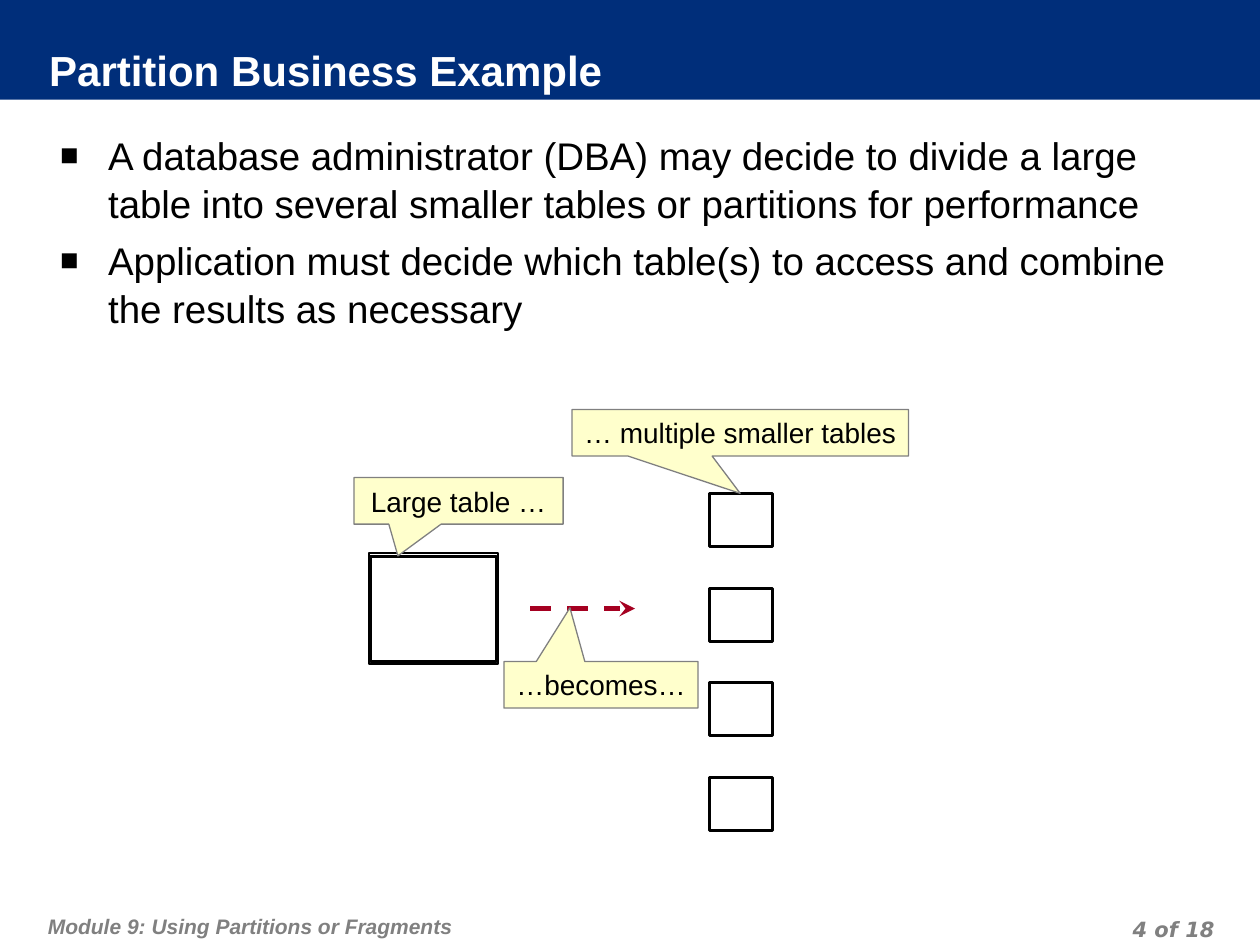
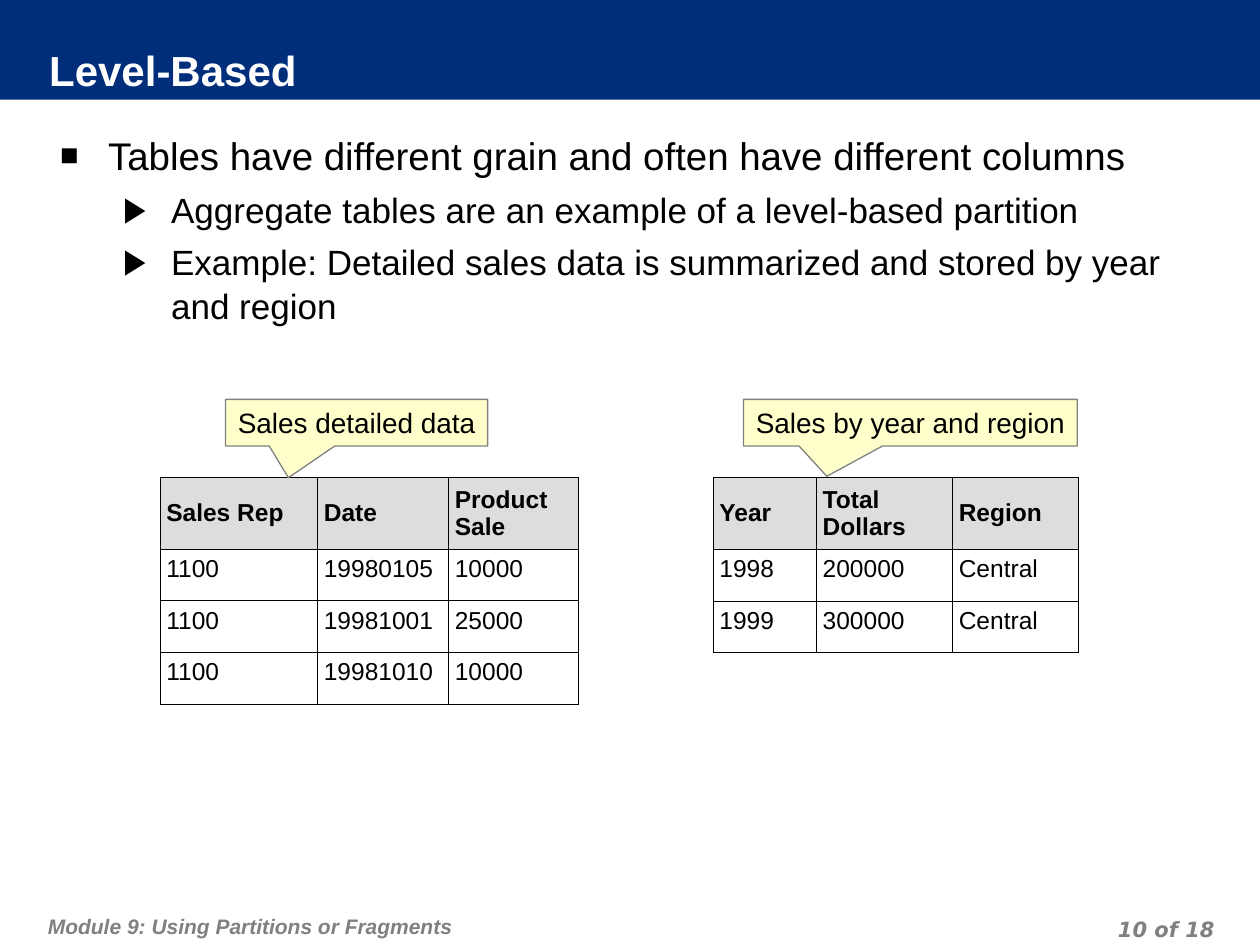
from dataclasses import dataclass
from typing import NamedTuple

from lxml.etree import SubElement as Sub
from pptx import Presentation
from pptx.dml.color import RGBColor as Color
from pptx.enum.dml import MSO_LINE_DASH_STYLE as Dash
from pptx.enum.shapes import MSO_CONNECTOR_TYPE as Link, MSO_SHAPE as Kind
from pptx.enum.text import MSO_ANCHOR as Anchor, MSO_AUTO_SIZE as Fit, PP_ALIGN as Align
from pptx.oxml.ns import qn
from pptx.util import Inches, Pt


@dataclass(frozen=True)
class Theme:
    navy: str = "002E7A"
    white: str = "FFFFFF"
    black: str = "000000"
    gray: str = "808080"
    cream: str = "FFFFCC"
    red: str = "A50021"
    silver: str = "DDDDDD"
    sans: str = "Arial"
    page_font: str = "DejaVu Sans"
    title: float = 24
    levels: tuple = (22, 20)
    note: float = 16
    cell: float = 14
    foot: float = 12


THEME = Theme()


class Box(NamedTuple):
    left: float
    top: float
    width: float
    height: float


class Point(NamedTuple):
    text: str
    level: int = 0


class Mark(NamedTuple):
    sign: str
    indent: float
    gap: float
    scale: int


class Note(NamedTuple):
    text: str
    box: Box
    tip: tuple


class Grid(NamedTuple):
    left: float
    widths: tuple
    head: float
    rows: tuple


MARKS = (Mark("■", 0.38, 5.5, 80), Mark("▶", 0.88, 5, 100))
HANG = 0.38
GRID_TOP = 3.79
ROW = 0.41


def place(box: Box) -> tuple:
    return tuple(Inches(side) for side in box)


def style(para, size: float, color: str, bold=False, slant=False, face=THEME.sans) -> None:
    for run in para.runs:
        font = run.font
        font.name, font.size = face, Pt(size)
        font.bold, font.italic = bold, slant
        font.color.rgb = Color.from_string(color)


def inset(item, left: float, top: float, right: float, bottom: float) -> None:
    item.margin_left, item.margin_top = Inches(left), Inches(top)
    item.margin_right, item.margin_bottom = Inches(right), Inches(bottom)


def paint(item, color: str) -> None:
    item.fill.solid()
    item.fill.fore_color.rgb = Color.from_string(color)


def draw(slide, kind, box: Box, fill="", line="", width=0.0):
    shape = slide.shapes.add_shape(kind, *place(box))
    shape.shadow.inherit = False
    if fill:
        paint(shape, fill)
    else:
        shape.fill.background()
    if line:
        shape.line.color.rgb = Color.from_string(line)
        shape.line.width = Pt(width)
    else:
        shape.line.fill.background()
    return shape


def footer(slide, text: str, box: Box, top: float, bottom: float, align, face: str) -> None:
    frame = slide.shapes.add_textbox(*place(box)).text_frame
    frame.word_wrap = True
    inset(frame, 0.05, top, 0.05, bottom)
    frame.text = text
    para = frame.paragraphs[0]
    para.alignment, para.line_spacing = align, Pt(18)
    style(para, THEME.foot, THEME.gray, True, True, face)


def start(deck, title: str, page: str):
    slide = deck.slides.add_slide(deck.slide_layouts[5])
    head = slide.shapes.title
    band = draw(slide, Kind.RECTANGLE, Box(0, 0, 10, 0.79), THEME.navy)
    head.element.addprevious(band.element)
    head.left, head.top, head.width, head.height = place(Box(0.39, 0.38, 7.87, 0.4))
    paint(head, THEME.navy)
    frame = head.text_frame
    frame.text = title
    frame.auto_size, frame.vertical_anchor = Fit.NONE, Anchor.MIDDLE
    inset(frame, 0, 0, 0.05, 0.05)
    frame.paragraphs[0].alignment = Align.LEFT
    style(frame.paragraphs[0], THEME.title, THEME.white, True)
    footer(slide, "Module 9: Using Partitions or Fragments", Box(0.33, 7.1, 6.18, 0.4),
           0.1, 0.05, Align.LEFT, THEME.sans)
    footer(slide, page, Box(7.36, 7.22, 2.33, 0.25), 0, 0, Align.RIGHT, THEME.page_font)
    return slide


def bullet(para, mark: Mark) -> None:
    props = para._p.get_or_add_pPr()
    props.set("marL", str(Inches(mark.indent)))
    props.set("indent", str(-Inches(HANG)))
    Sub(Sub(props, qn("a:buClr")), qn("a:srgbClr"), val=THEME.black)
    Sub(props, qn("a:buSzPct"), val=str(mark.scale * 1000))
    Sub(props, qn("a:buFont"), typeface=THEME.sans)
    Sub(props, qn("a:buChar"), char=mark.sign)


def body(slide, points: list[Point]) -> None:
    frame = slide.shapes.add_textbox(*place(Box(0.38, 0.93, 9.3, 6.18))).text_frame
    frame.word_wrap = True
    inset(frame, 0.1, 0.1, 0.1, 0.05)
    for rank, point in enumerate(points):
        para = frame.add_paragraph() if rank else frame.paragraphs[0]
        mark = MARKS[point.level]
        para.text, para.level = point.text, point.level
        bullet(para, mark)
        para.line_spacing = 1.04
        if rank:
            para.space_before = Pt(mark.gap)
        style(para, THEME.levels[point.level], THEME.black)


def callout(slide, note: Note) -> None:
    shape = draw(slide, Kind.RECTANGULAR_CALLOUT, note.box, THEME.cream, THEME.gray, 0.75)
    for rank, value in enumerate(note.tip):
        shape.adjustments[rank] = value
    frame = shape.text_frame
    frame.word_wrap, frame.vertical_anchor = False, Anchor.MIDDLE
    inset(frame, 0.1, 0.05, 0.1, 0.05)
    frame.text = note.text
    frame.paragraphs[0].alignment = Align.CENTER
    style(frame.paragraphs[0], THEME.note, THEME.black)


def arrow(slide, left: float, right: float, top: float) -> None:
    line = slide.shapes.add_connector(
        Link.STRAIGHT, Inches(left), Inches(top), Inches(right), Inches(top))
    line.line.color.rgb = Color.from_string(THEME.red)
    line.line.width, line.line.dash_style = Pt(3), Dash.DASH
    Sub(line.line._get_or_add_ln(), qn("a:tailEnd"), type="stealth")
    Sub(line.element.spPr, qn("a:effectLst"))


def border(cell) -> None:
    props = cell._tc.get_or_add_tcPr()
    for side in "LRTB":
        edge = Sub(props, qn(f"a:ln{side}"), w=str(Pt(0.45)))
        Sub(Sub(edge, qn("a:solidFill")), qn("a:srgbClr"), val=THEME.black)


def table(slide, grid: Grid) -> None:
    highs = [grid.head] + [ROW] * (len(grid.rows) - 1)
    box = Box(grid.left, GRID_TOP, sum(grid.widths), sum(highs))
    sheet = slide.shapes.add_table(len(highs), len(grid.widths), *place(box)).table
    for col, width in zip(sheet.columns, grid.widths):
        col.width = Inches(width)
    for rank, (row, high, texts) in enumerate(zip(sheet.rows, highs, grid.rows)):
        row.height = Inches(high)
        head = rank == 0
        for cell, text in zip(row.cells, texts):
            cell.text = text
            cell.vertical_anchor = Anchor.MIDDLE if head else Anchor.TOP
            inset(cell, 0.05, 0.05, 0.02, 0.05)
            border(cell)
            paint(cell, THEME.silver if head else THEME.white)
            style(cell.text_frame.paragraphs[0], THEME.cell, THEME.black, head)


def split_slide(deck) -> None:
    slide = start(deck, "Partition Business Example", "4 of 18")
    draw(slide, Kind.RECTANGLE, Box(2.94, 4.42, 1, 0.83), line=THEME.black, width=1.75)
    body(slide, [
        Point("A database administrator (DBA) may decide to divide a large table into "
              "several smaller tables or partitions for performance"),
        Point("Application must decide which table(s) to access and combine the results "
              "as necessary"),
    ])
    for rank in range(4):
        part = Box(5.63, 3.92 + 0.75 * rank, 0.5, 0.42)
        draw(slide, Kind.RECTANGLE, part, line=THEME.black, width=1.75)
    callout(slide, Note("… multiple smaller tables", Box(4.54, 3.25, 2.67, 0.37), (0, 1.3)))
    arrow(slide, 4.21, 5.04, 4.83)
    callout(slide, Note("…becomes…", Box(4, 5.25, 1.54, 0.37), (-0.16, -1.65)))
    draw(slide, Kind.RECTANGLE, Box(2.93, 4.39, 1.02, 0.88), line=THEME.black, width=1.25)
    callout(slide, Note("Large table …", Box(2.81, 3.79, 1.66, 0.37), (-0.29, 1.18)))


def level_slide(deck) -> None:
    slide = start(deck, "Level-Based", "10 of 18")
    body(slide, [
        Point("Tables have different grain and often have different columns"),
        Point("Aggregate tables are an example of a level-based partition", 1),
        Point("Example: Detailed sales data is summarized and stored by year and region", 1),
    ])
    table(slide, Grid(1.27, (1.25, 1.04, 1.03), 0.55, (
        ("Sales Rep", "Date", "Product Sale"),
        ("1100", "19980105", "10000"),
        ("1100", "19981001", "25000"),
        ("1100", "19981010", "10000"),
    )))
    callout(slide, Note("Sales detailed data", Box(1.79, 3.17, 2.08, 0.37), (-0.26, 1.18)))
    table(slide, Grid(5.66, (0.82, 1.08, 1), 0.57, (
        ("Year", "Total Dollars", "Region"),
        ("1998", "200000", "Central"),
        ("1999", "300000", "Central"),
    )))
    callout(slide, Note("Sales by year and region", Box(5.9, 3.17, 2.65, 0.37), (-0.25, 1.15)))


def main() -> None:
    deck = Presentation()
    deck.slide_width, deck.slide_height = Inches(10), Inches(7.5)
    split_slide(deck)
    level_slide(deck)
    deck.save("out.pptx")


if __name__ == "__main__":
    main()
